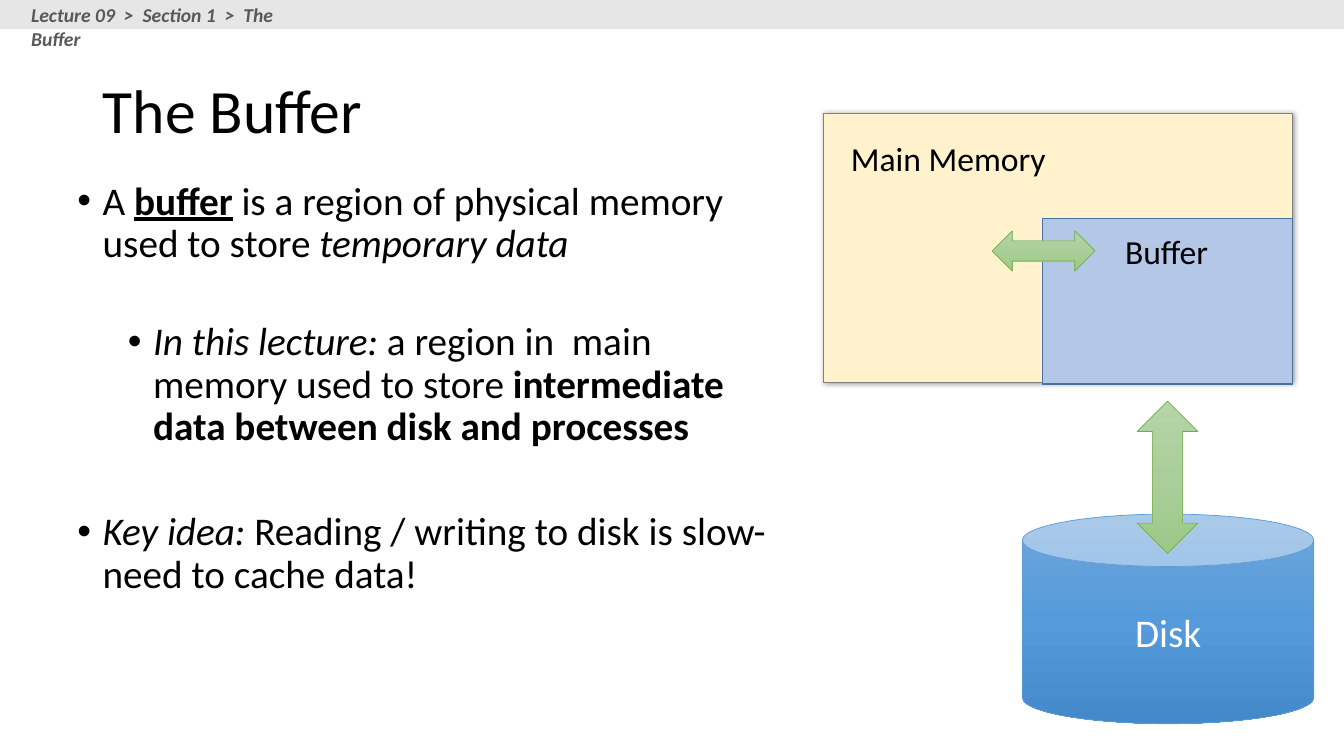
from copy import deepcopy
from dataclasses import dataclass

from lxml import etree
from pptx import Presentation
from pptx.dml.color import RGBColor
from pptx.enum.shapes import MSO_SHAPE
from pptx.enum.text import MSO_ANCHOR, PP_ALIGN
from pptx.oxml.ns import qn
from pptx.util import Inches, Pt

RECT, CAN = MSO_SHAPE.RECTANGLE, MSO_SHAPE.CAN
VERTICAL_ARROW, HORIZONTAL_ARROW = MSO_SHAPE.UP_DOWN_ARROW, MSO_SHAPE.LEFT_RIGHT_ARROW
LEFT, CENTER = PP_ALIGN.LEFT, PP_ALIGN.CENTER
MIDDLE = MSO_ANCHOR.MIDDLE


@dataclass(frozen=True)
class Theme:
    font: str = "Calibri"
    title_size: int = 44
    body_size: int = 28
    label_size: int = 24
    crumb_size: int = 14
    text: str = "000000"
    crumb: str = "595959"
    inverse: str = "FFFFFF"
    header: str = "E7E6E6"
    memory: str = "FFF2CC"
    memory_line: str = "808080"
    buffer: str = "B4C7E7"
    buffer_line: str = "43739E"
    disk: tuple = ("71A6DB", "559BDB", "448ACA")
    disk_line: str = "5B9BD5"
    arrow: tuple = ("B5D5A7", "AACE9A", "9CC987")
    arrow_line: str = "70AD47"


THEME = Theme()


def rgb(value):
    return RGBColor.from_string(value)


def style_run(r, size, color=THEME.text, marks=""):
    r.font.name = THEME.font
    r.font.size = Pt(size)
    r.font.color.rgb = rgb(color)
    r.font.bold = "b" in marks
    r.font.italic = "i" in marks
    r.font.underline = "u" in marks


def fill_gradient(sp, colors):
    sp.fill.gradient()
    sp.fill.gradient_angle = 270
    stops = sp._element.spPr.find(".//" + qn("a:gsLst"))
    stops.insert(1, deepcopy(stops[0]))
    for i, (stop, color) in enumerate(zip(sp.fill.gradient_stops, colors)):
        stop.position = i / 2
        stop.color.rgb = rgb(color)


def add_box(s, kind, box, fill, line=None, width=0.5):
    sp = s.shapes.add_shape(kind, *map(Inches, box))
    sp.shadow.inherit = False
    if isinstance(fill, tuple):
        fill_gradient(sp, fill)
    else:
        sp.fill.solid()
        sp.fill.fore_color.rgb = rgb(fill)
    if line:
        sp.line.color.rgb = rgb(line)
        sp.line.width = Pt(width)
    else:
        sp.line.fill.background()
    return sp


def add_shadow(sp):
    effects = sp._element.spPr.find(qn("a:effectLst"))
    shadow = etree.SubElement(effects, qn("a:outerShdw"), blurRad=str(Pt(4)),
                              dist=str(Pt(1)), dir="2700000", rotWithShape="0")
    color = etree.SubElement(shadow, qn("a:srgbClr"), val="000000")
    etree.SubElement(color, qn("a:alpha"), val="40000")


def add_label(s, box, text, size, color=THEME.text, marks="", wrap=False):
    tf = s.shapes.add_textbox(*map(Inches, box)).text_frame
    tf.word_wrap = wrap
    tf.text = text
    style_run(tf.paragraphs[0].runs[0], size, color, marks)


def add_title(s, box, text):
    sp = s.shapes.title
    sp.left, sp.top, sp.width, sp.height = map(Inches, box)
    tf = sp.text_frame
    tf.text = text
    tf.vertical_anchor = MIDDLE
    p = tf.paragraphs[0]
    p.alignment = LEFT
    p.line_spacing = 0.9
    style_run(p.runs[0], THEME.title_size)


def add_bullets(s, box, items):
    tf = s.shapes.add_textbox(*map(Inches, box)).text_frame
    tf.word_wrap = True
    for i, (margin, before, runs) in enumerate(items):
        p = tf.add_paragraph() if i else tf.paragraphs[0]
        p.line_spacing = 0.9
        p.space_before = Pt(before)
        pPr = p._p.get_or_add_pPr()
        pPr.set("marL", str(Inches(margin)))
        pPr.set("indent", str(Inches(-0.25)))
        etree.SubElement(pPr, qn("a:buFont"), typeface="Arial")
        etree.SubElement(pPr, qn("a:buChar"), char="•")
        for text, marks in runs:
            r = p.add_run()
            r.text = text
            style_run(r, THEME.body_size, marks=marks)


def add_disk(s, box):
    sp = add_box(s, CAN, box, THEME.disk, THEME.disk_line)
    tf = sp.text_frame
    tf.text = "Disk"
    tf.vertical_anchor = MIDDLE
    p = tf.paragraphs[0]
    p.alignment = CENTER
    style_run(p.runs[0], THEME.body_size, THEME.inverse)


def main():
    prs = Presentation()
    prs.slide_width, prs.slide_height = Inches(13.33), Inches(7.5)
    s = prs.slides.add_slide(prs.slide_layouts[5])

    add_title(s, (0.92, 0.4, 11.5, 1.45), "The Buffer")
    add_box(s, RECT, (0, 0, 13.33, 0.29), THEME.header)
    add_label(s, (0.21, -0.02, 3.1, 0.34), "Lecture 09  >  Section 1  >  The Buffer",
              THEME.crumb_size, THEME.crumb, "bi", wrap=True)

    add_disk(s, (10.14, 5.1, 2.89, 2.08))
    add_box(s, VERTICAL_ARROW, (11.28, 3.98, 0.6, 1.51), THEME.arrow, THEME.arrow_line)
    memory = add_box(s, RECT, (8.17, 1.12, 4.65, 2.67), THEME.memory, THEME.memory_line)
    add_shadow(memory)
    add_box(s, RECT, (10.34, 2.17, 2.48, 1.64), THEME.buffer, THEME.buffer_line, 1)
    add_label(s, (8.34, 1.32, 2.15, 0.5), "Main Memory", THEME.label_size)
    add_label(s, (11.06, 2.24, 1.04, 0.5), "Buffer", THEME.label_size)
    add_box(s, HORIZONTAL_ARROW, (9.84, 2.29, 1.02, 0.4), THEME.arrow, THEME.arrow_line)

    add_bullets(s, (0.67, 1.75, 7.09, 5.43), [
        (0.25, 0, [("A ", ""), ("buffer", "bu"),
                   (" is a region of physical memory used to store ", ""),
                   ("temporary data", "i")]),
        (0.75, 40, [("In this lecture: ", "i"),
                    ("a region in  main memory used to store ", ""),
                    ("intermediate data between disk and processes", "b")]),
        (0.25, 45, [("Key idea: ", "i"),
                    ("Reading / writing to disk is slow- need to cache data!", "")]),
    ])
    prs.save("out.pptx")


main()
